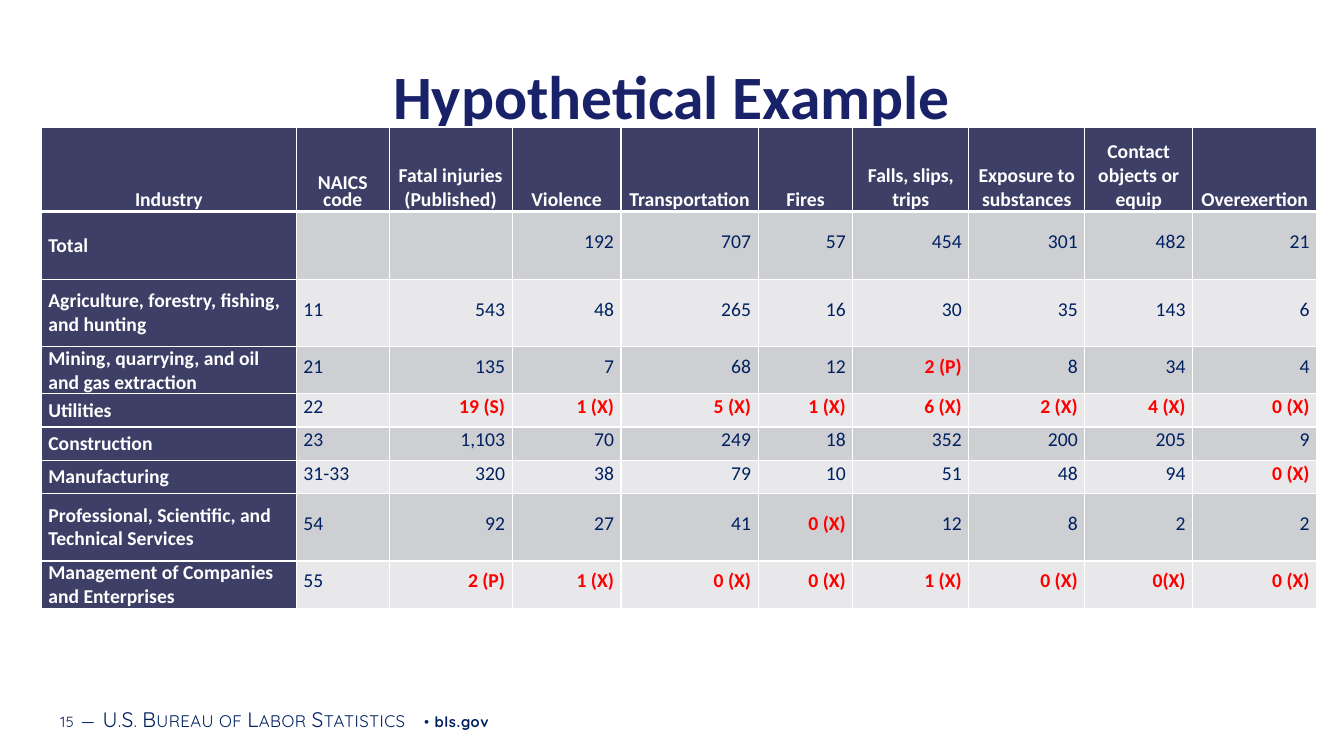
from lxml.etree import SubElement
from pptx import Presentation
from pptx.dml.color import RGBColor
from pptx.enum.text import MSO_ANCHOR, PP_ALIGN
from pptx.oxml.ns import qn
from pptx.util import Inches, Pt

COLORS = {"title": "192168", "navy": "002060", "head": "3E3F67", "white": "FFFFFF",
          "flag": "FF0000", "dark": "CECFD3", "light": "E8E8EB"}
TITLE = "Hypothetical Example"
HEADERS = ["Industry", "NAICS code", "Fatal injuries\n(Published)", "Violence",
           "Transportation", "Fires", "Falls, slips, trips", "Exposure to substances",
           "Contact objects or equip", "Overexertion"]
ROWS = [
    ["Total", "", "", "192", "707", "57", "454", "301", "482", "21"],
    ["Agriculture, forestry, fishing, and hunting", "11", "543", "48", "265", "16", "30",
     "35", "143", "6"],
    ["Mining, quarrying, and oil and gas extraction", "21", "135", "7", "68", "12",
     "2 (P)", "8", "34", "4"],
    ["Utilities", "22", "19 (S)", "1 (X)", "5 (X)", "1 (X)", "6 (X)", "2 (X)", "4 (X)",
     "0 (X)"],
    ["Construction", "23", "1,103", "70", "249", "18", "352", "200", "205", "9"],
    ["Manufacturing", "31-33", "320", "38", "79", "10", "51", "48", "94", "0 (X)"],
    ["Professional, Scientific, and Technical Services", "54", "92", "27", "41", "0 (X)",
     "12", "8", "2", "2"],
    ["Management of Companies and Enterprises", "55", "2 (P)", "1 (X)", "0 (X)", "0 (X)",
     "1 (X)", "0 (X)", "0(X)", "0 (X)"],
]
COL_WIDTHS = [2.53, 0.92, 1.22, 1.08, 1.36, 0.94, 1.15, 1.15, 1.07, 1.23]
ROW_HEIGHTS = [0.84, 0.67, 0.67, 0.33, 0.33, 0.33, 0.33, 0.67, 0.33]
# text, size, bold, letter spacing in 1/100 pt, small capitals
FOOTER = [
    ("15", 10.5, False, "50", "none"),
    (" ", 16, False, "0", "none"),
    ("—", 15, False, "30", "small"),
    (" ", 16, False, "50", "none"),
    ("U.S. Bureau of Labor Statistics", 15, False, "30", "small"),
    (" • ", 10.5, False, "50", "none"),
    ("bls.gov", 10.5, True, "50", "none"),
]


def rgb(name):
    return RGBColor.from_string(COLORS[name])


def style(font, color, **values):
    for name, value in values.items():
        setattr(font, name, value)
    font.color.rgb = rgb(color)


def set_borders(cell, widths):
    """Draw white borders; widths are points for left, right, top, bottom."""
    tc_pr = cell._tc.get_or_add_tcPr()
    for i, (side, width) in enumerate(zip("LRTB", widths)):
        ln = SubElement(tc_pr, qn(f"a:ln{side}"), w=str(Pt(width)))
        fill = SubElement(ln, qn("a:solidFill"))
        SubElement(fill, qn("a:srgbClr"), val=COLORS["white"])
        tc_pr.insert(i, ln)


def fill_cell(cell, row, col, text):
    is_header, is_label = row == 0, col == 0
    flagged = "(" in text and not is_header
    cell.fill.solid()
    band = "dark" if row % 2 else "light"
    cell.fill.fore_color.rgb = rgb("head" if is_header or is_label else band)
    set_borders(cell, (1, 1, 3 if row == 1 else 1, 3 if is_header else 1))
    cell.vertical_anchor = MSO_ANCHOR.BOTTOM if is_header else MSO_ANCHOR.MIDDLE
    cell.margin_left = cell.margin_right = Inches(0.07)
    cell.margin_top = cell.margin_bottom = 0

    if is_header:
        align = PP_ALIGN.CENTER
    else:
        align = PP_ALIGN.LEFT if col < 2 else PP_ALIGN.RIGHT
    color = "white" if is_header or is_label else "flag" if flagged else "navy"
    cell.text = text
    for p in cell.text_frame.paragraphs:
        p.alignment = align
        if (col < 2) if is_header else not is_label:
            p.line_spacing = Pt(12)
        for r in p.runs:
            style(r.font, color, name="Calibri", size=Pt(14), bold=color != "navy")


def add_title(s):
    title = s.shapes.title
    box = {"left": 0.54, "top": 0.5, "width": 12.25, "height": 0.88}
    for name, value in box.items():
        setattr(title, name, Inches(value))
    tf = title.text_frame
    tf.text = TITLE
    tf.vertical_anchor = MSO_ANCHOR.MIDDLE
    p = tf.paragraphs[0]
    p.alignment = PP_ALIGN.CENTER
    style(p.runs[0].font, "title", name="Calibri", size=Pt(44), bold=True)


def add_injury_table(s):
    frame = s.shapes.add_table(len(ROWS) + 1, len(HEADERS), Inches(0.41), Inches(1.26),
                               Inches(sum(COL_WIDTHS)), Inches(sum(ROW_HEIGHTS)))
    table = frame.table
    for column, width in zip(table.columns, COL_WIDTHS):
        column.width = Inches(width)
    for row, height in zip(table.rows, ROW_HEIGHTS):
        row.height = Inches(height)
    for i, values in enumerate([HEADERS] + ROWS):
        for j, text in enumerate(values):
            fill_cell(table.cell(i, j), i, j, text)


def add_footer(s):
    box = s.shapes.add_textbox(Inches(0.53), Inches(6.93), Inches(8.47), Inches(0.4))
    tf = box.text_frame
    tf.word_wrap = True
    tf.vertical_anchor = MSO_ANCHOR.MIDDLE
    tf.margin_left = tf.margin_right = Inches(0.07)
    tf.margin_top = tf.margin_bottom = Inches(0.04)
    for text, size, bold, spacing, caps in FOOTER:
        r = tf.paragraphs[0].add_run()
        r.text = text
        style(r.font, "navy", name="Quicksand", size=Pt(size), bold=bold)
        r_pr = r._r.get_or_add_rPr()
        r_pr.set("spc", spacing)
        r_pr.set("cap", caps)


def main():
    prs = Presentation()
    prs.slide_width, prs.slide_height = Inches(13.33), Inches(7.5)
    s = prs.slides.add_slide(prs.slide_layouts[5])
    s.background.fill.solid()
    s.background.fill.fore_color.rgb = rgb("white")
    add_footer(s)
    add_title(s)
    add_injury_table(s)
    prs.save("out.pptx")


if __name__ == "__main__":
    main()
